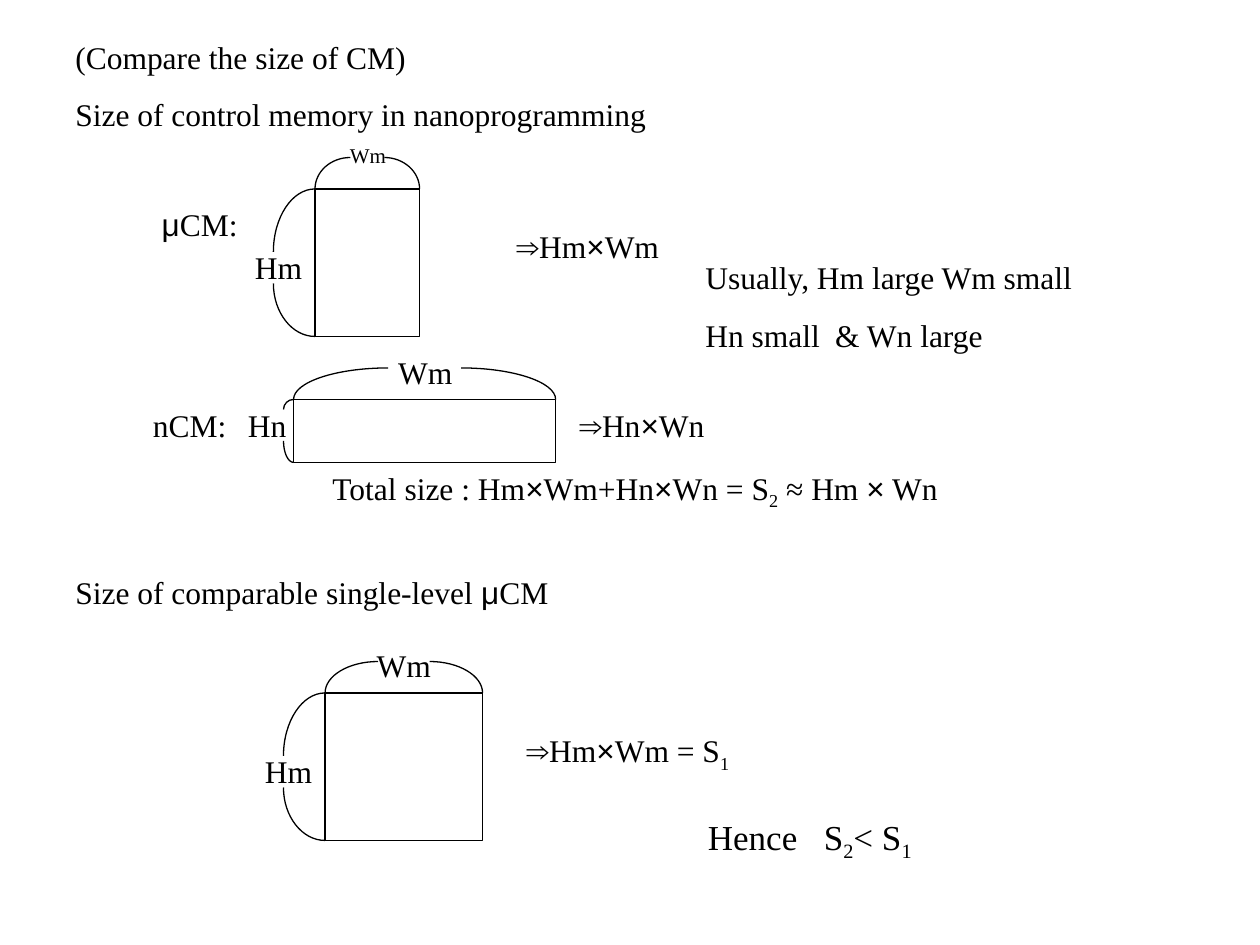
from itertools import groupby

from lxml import etree
from pptx import Presentation
from pptx import util as u
from pptx.dml.color import RGBColor
from pptx.enum import shapes, text
from pptx.oxml.ns import qn

BLACK = RGBColor(0, 0, 0)
WHITE = RGBColor(255, 255, 255)
SERIF, SYMBOL = "Times New Roman", "Arial"
CENTER, LEFT = text.PP_ALIGN.CENTER, text.PP_ALIGN.LEFT
CURVE = 0.55  # control point ratio of a quarter ellipse


def run_style(char):
    """Digits are subscripts; the signs μ and × use the symbol font."""
    return char.isdigit(), SYMBOL if char in "μ×" else SERIF


def add_tab_stop(paragraph, position):
    stops = etree.SubElement(paragraph._p.get_or_add_pPr(), qn("a:tabLst"))
    etree.SubElement(stops, qn("a:tab"), pos=str(u.Inches(position)), algn="l")


def add_text(parent, left, top, width, height, *lines, align=LEFT, size=18,
             tab=None):
    box = parent.add_textbox(*map(u.Inches, (left, top, width, height)))
    frame = box.text_frame
    frame.word_wrap = True
    frame.auto_size = text.MSO_AUTO_SIZE.SHAPE_TO_FIT_TEXT
    for index, line in enumerate(lines):
        paragraph = frame.add_paragraph() if index else frame.paragraphs[0]
        paragraph.alignment = align
        if index:
            paragraph.space_before = u.Pt(11.2)
        if tab and "\t" in line:
            add_tab_stop(paragraph, tab)
        for (subscript, font), chars in groupby(line, run_style):
            run = paragraph.add_run()
            run.text = "".join(chars)
            run.font.name = font
            run.font.size = u.Pt(size)
            run.font.color.rgb = BLACK
            if subscript:
                run.font._element.set("baseline", "-25000")


def set_outline(shape):
    shape.shadow.inherit = False
    shape.line.color.rgb = BLACK
    shape.line.width = u.Pt(0.75)


def add_arc(parent, start, end):
    """Quarter ellipse that leaves start horizontally and meets end vertically."""
    (x1, y1), (x2, y2) = start, end
    points = [(x1 + CURVE * (x2 - x1), y1), (x2, y2 - CURVE * (y2 - y1)), end]
    builder = parent.build_freeform(u.Inches(x1), u.Inches(y1))
    builder.add_line_segments(
        [(u.Inches(x), u.Inches(y)) for x, y in points], close=False)
    arc = builder.convert_to_shape()
    arc.fill.background()
    set_outline(arc)
    # Turn the three segments into one Bézier curve
    outline = next(arc._element.iter(qn("a:path")))
    bezier = etree.SubElement(outline, qn("a:cubicBezTo"))
    for segment in outline.findall(qn("a:lnTo")):
        bezier.append(segment[0])
        outline.remove(segment)


def add_memory(parent, left, top, width, height, span, depth, upper, lower):
    """Memory block with a brace above (span) and one at its left (depth)."""
    block = parent.add_shape(shapes.MSO_SHAPE.RECTANGLE,
                             *map(u.Inches, (left, top, width, height)))
    block.fill.solid()
    block.fill.fore_color.rgb = WHITE
    set_outline(block)
    right, bottom, crest = left + width, top + height, top - 0.25
    add_arc(parent, (left + span, crest), (left, top))
    add_arc(parent, (right - span, crest), (right, top))
    add_arc(parent, (left, top), (left - depth, top + upper))
    add_arc(parent, (left, bottom), (left - depth, bottom - lower))


def main():
    prs = Presentation()
    prs.slide_width, prs.slide_height = u.Inches(10), u.Inches(7.5)
    slide = prs.slides.add_slide(prs.slide_layouts[6]).shapes

    # Heading
    add_text(slide, 0.5, 0.25, 9, 0.86, "(Compare the size of CM)",
             "Size of control memory in nanoprogramming")

    # Micro control memory
    micro = slide.add_group_shape().shapes
    add_memory(micro, 2.5, 1.5, 0.83, 1.17, 0.28, 0.33, 0.5, 0.42)
    add_text(micro, 0.5, 1.58, 2.17, 0.4, "μCM:", align=CENTER)
    add_text(micro, 1.92, 1.92, 0.58, 0.4, "Hm", align=CENTER)
    add_text(micro, 2.67, 1.08, 0.5, 0.3, "Wm", align=CENTER, size=12)
    add_text(micro, 4, 1.75, 1.42, 0.4, "⇒Hm×Wm")

    # Nano control memory
    nano = slide.add_group_shape().shapes
    add_memory(nano, 2.33, 3.17, 2.08, 0.5, 0.75, 0.08, 0.08, 0.17)
    add_text(nano, 0.42, 3.17, 2.17, 0.4, "nCM:", align=CENTER)
    add_text(nano, 1.83, 3.17, 0.58, 0.4, "Hn", align=CENTER)
    add_text(nano, 3, 2.75, 0.75, 0.4, "Wm", align=CENTER)
    add_text(nano, 4.5, 3.17, 2.5, 0.4, "⇒Hn×Wn")

    # Total and single-level heading
    add_text(slide, 0.5, 3.67, 9.08, 0.44,
             "Total size : Hm×Wm+Hn×Wn = S2 ≈ Hm × Wn", align=CENTER)
    add_text(slide, 0.5, 4.5, 9.08, 0.4, "Size of comparable single-level μCM")

    # Single-level control memory
    single = slide.add_group_shape().shapes
    add_memory(single, 2.58, 5.5, 1.25, 1.17, 0.42, 0.33, 0.5, 0.42)
    add_text(single, 2, 5.92, 0.58, 0.4, "Hm", align=CENTER)
    add_text(single, 2.83, 5.08, 0.75, 0.4, "Wm", align=CENTER)
    add_text(single, 4.08, 5.75, 1.92, 0.44, "⇒Hm×Wm = S1")

    # Remark and conclusion
    add_text(slide, 5.5, 2, 4.08, 0.86, "Usually, Hm large Wm small",
             "Hn small\t& Wn large", tab=1.03)
    add_text(slide, 5.52, 6.42, 2, 0.48, "Hence\tS2< S1", size=20, tab=0.92)

    prs.save("out.pptx")


if __name__ == "__main__":
    main()
